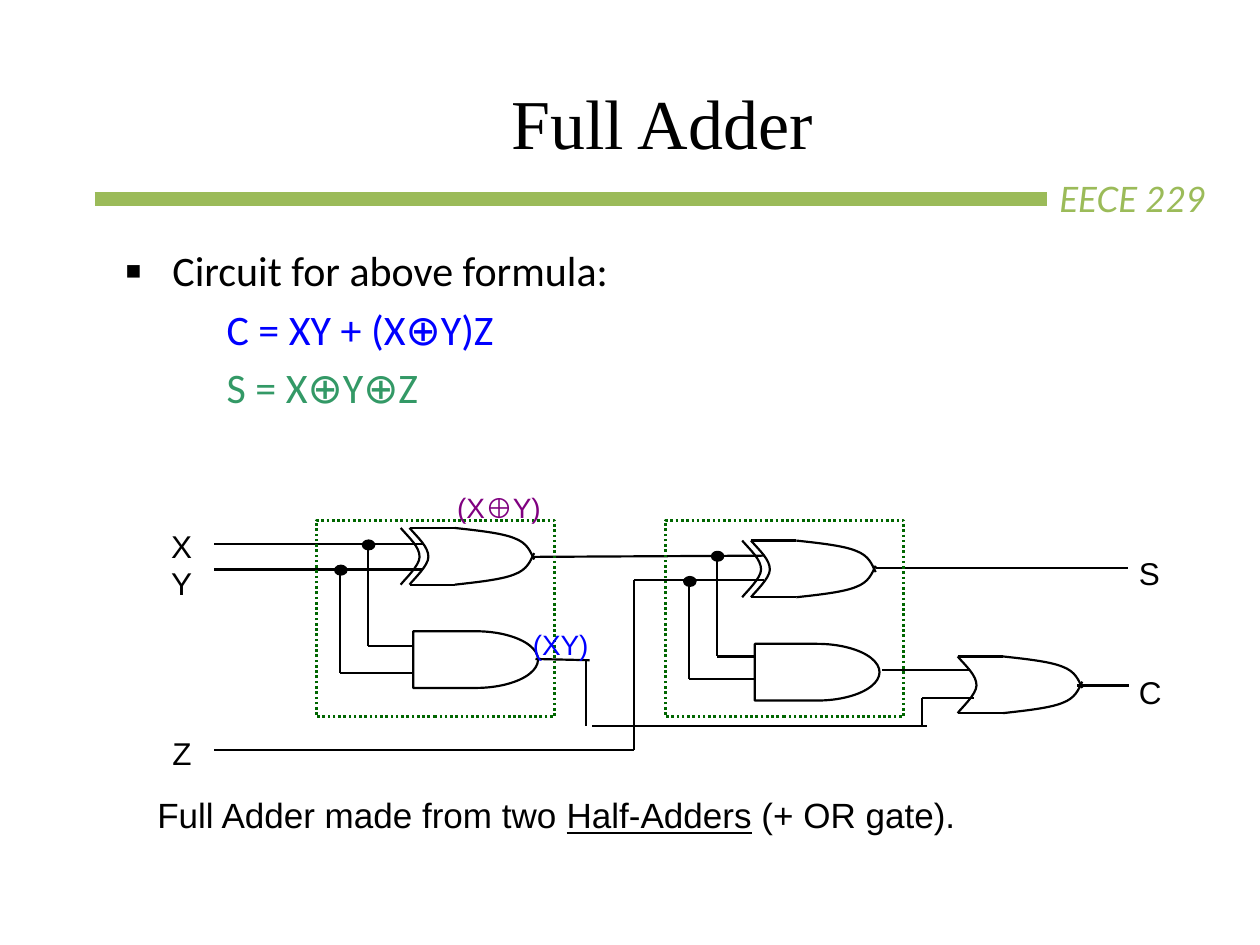
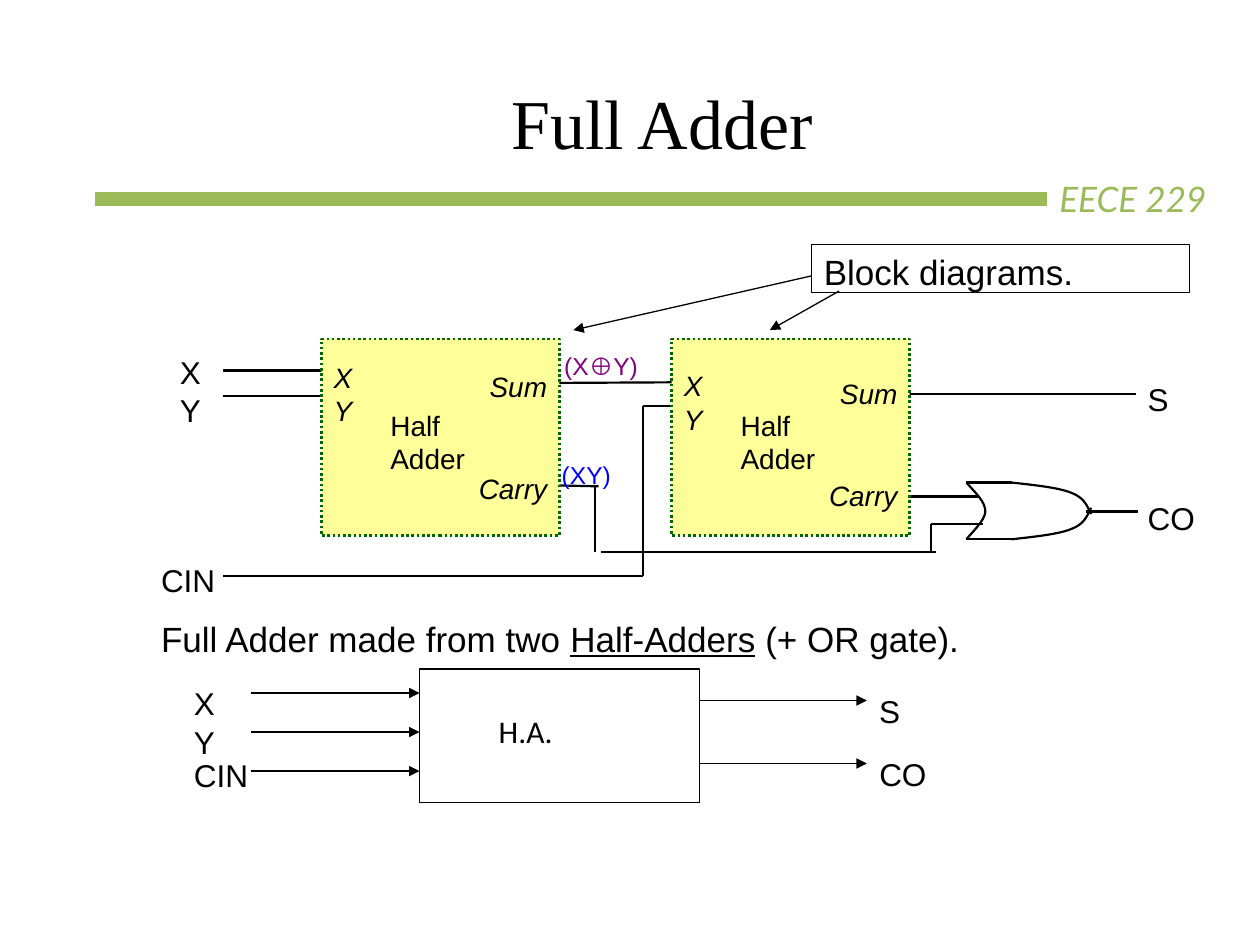
from lxml import etree
from pptx import Presentation
from pptx import util as u
from pptx.dml.color import RGBColor
from pptx.enum import dml, shapes, text
from pptx.oxml.ns import qn

BLACK = RGBColor(0x00, 0x00, 0x00)
OLIVE = RGBColor(0x9B, 0xBB, 0x59)
BLUE = RGBColor(0x00, 0x00, 0xFF)
SEA_GREEN = RGBColor(0x33, 0x99, 0x66)
DARK_GREEN = RGBColor(0x00, 0x66, 0x00)
PURPLE = RGBColor(0x80, 0x00, 0x80)
PALE_YELLOW = RGBColor(0xFF, 0xFF, 0x99)

WIRE = 1.25
THIN = 0.75
HALF_ADDER_W, HALF_ADDER_H = 1.89, 1.56
GATE_W, GATE_H = 0.99, 0.45

# Gate outlines as cubic curves, relative to the gate's top left corner
GATE_BACK = [(0, 0), (0.07, 0.08), (0.15, 0.15), (0.15, 0.23),
             (0.15, 0.3), (0.03, 0.41), (0, GATE_H)]
GATE_NOSE = [(0.36, 0), (0.54, 0.02), (0.73, 0.04), (0.83, 0.08),
             (0.94, 0.12), (0.96, 0.19), (0.99, 0.25)]

# Wires both circuits share, relative to the start of input X
ADDER_WIRES = [
    (0, 0, 1.66, 0), (0, 0.2, 1.66, 0.2),                # X, Y
    (2.53, 0.1, 4.37, 0.09),                             # first sum
    (2.55, 0.91, 2.98, 0.92), (2.95, 0.91, 2.95, 1.44),  # first carry
    (3, 1.44, 5.66, 1.44), (5.62, 1.44, 5.62, 1.22), (5.62, 1.22, 6.03, 1.22),
    (0, 1.63, 3.33, 1.63), (3.33, 1.63, 3.33, 0.28),     # carry in
    (3.33, 0.28, 4.36, 0.28),
    (5.25, 0.19, 7.25, 0.19),                            # final sum
    (5.3, 1, 6, 1), (6.85, 1.12, 7.26, 1.12),            # second and final carry
]


def inches(*lengths):
    return [u.Inches(length) for length in lengths]


# ---- Basic parts ----

def write_text(frame, content, size=18, font="Arial", color=BLACK, italic=False,
               align=text.PP_ALIGN.LEFT, underlined=None, wrap=True):
    """Write one paragraph per line, underlining the given phrase."""
    frame.word_wrap = wrap
    frame.vertical_anchor = text.MSO_ANCHOR.TOP
    for i, line in enumerate(content.split("\n")):
        paragraph = frame.add_paragraph() if i else frame.paragraphs[0]
        paragraph.alignment = align
        for part in line.partition(underlined) if underlined else [line]:
            run = paragraph.add_run()
            run.text = part
            run.font.size = u.Pt(size)
            run.font.name = font
            run.font.italic = italic
            run.font.color.rgb = color
            if part == underlined:
                run.font.underline = True


def add_text(slide, content, x, y, w, h, **style):
    box = slide.shapes.add_textbox(*inches(x, y, w, h))
    write_text(box.text_frame, content, **style)
    return box.text_frame


def style_outline(shape, fill=None, color=BLACK, width=WIRE, dash=None):
    shape.shadow.inherit = False
    if fill is None:
        shape.fill.background()
    else:
        shape.fill.solid()
        shape.fill.fore_color.rgb = fill
    shape.line.color.rgb = color
    shape.line.width = u.Pt(width)
    if dash:
        shape.line.dash_style = dash


def add_preset(slide, preset, x, y, w, h, **outline):
    shape = slide.shapes.add_shape(preset, *inches(x, y, w, h))
    style_outline(shape, **outline)
    return shape


def add_wire(slide, x1, y1, x2, y2, width=WIRE, color=BLACK, arrow=False):
    wire = slide.shapes.add_connector(shapes.MSO_CONNECTOR.STRAIGHT,
                                      *inches(x1, y1, x2, y2))
    wire.line.color.rgb = color
    wire.line.width = u.Pt(width)
    if arrow:
        etree.SubElement(wire.line._get_or_add_ln(), qn("a:tailEnd"), type="triangle")
    etree.SubElement(wire._element.spPr, qn("a:effectLst"))


def add_curve(slide, x, y, points):
    """Draw joined cubic curves whose control points are relative to x, y."""
    start, *controls = [inches(x + dx, y + dy) for dx, dy in points]
    builder = slide.shapes.build_freeform(*start)
    builder.add_line_segments(controls, close=False)
    curve = builder.convert_to_shape()
    # Turn every three straight segments into one cubic curve
    segments = list(curve._element.iter(qn("a:lnTo")))
    outline = segments[0].getparent()
    for i in range(0, len(segments), 3):
        cubic = etree.SubElement(outline, qn("a:cubicBezTo"))
        for segment in segments[i:i + 3]:
            cubic.append(segment[0])
            outline.remove(segment)
    style_outline(curve)


# ---- Shared regions ----

def add_header(slide):
    add_wire(slide, 0.75, 1.58, 8.31, 1.58, width=8, color=OLIVE)
    add_text(slide, "EECE 229", 8.31, 1.36, 1.67, 0.44,
             size=20, font="Lato", color=OLIVE, italic=True)
    add_text(slide, "Full Adder", 3.96, 0.58, 2.62, 0.77,
             size=40, font="Times New Roman", wrap=False)


def add_caption(slide, x, y):
    add_text(slide, "Full Adder made from two Half-Adders (+ OR gate).",
             x, y, 8.89, 0.44, size=20, underlined="Half-Adders")


def add_or_gate(slide, x, y, exclusive=False):
    add_curve(slide, x, y, GATE_BACK)
    if exclusive:
        add_curve(slide, x - 0.07, y, GATE_BACK)
    for edge in (y, y + GATE_H):
        add_wire(slide, x, edge, x + 0.36, edge)
    add_curve(slide, x, y, GATE_NOSE)
    add_curve(slide, x, y, [(px, GATE_H - py) for px, py in GATE_NOSE])


def add_adder_wiring(slide, x, y, carry_in, carry_in_x, carry_out, carry_w):
    """Wires, OR gate and outer labels, from the start of input X."""
    for x1, y1, x2, y2 in ADDER_WIRES:
        add_wire(slide, x + x1, y + y1, x + x2, y + y2)
    add_or_gate(slide, x + 5.9, y + 0.89)
    for label, dx, dy, width, height in [("X\nY", -0.44, -0.19, 0.56, 0.45),
                                         ("S", 7.24, 0.03, 0.56, 0.28),
                                         (carry_out, 7.24, 0.97, carry_w, 0.29),
                                         (carry_in, carry_in_x, 1.46, carry_w, 0.29)]:
        add_text(slide, label, x + dx, y + dy, width, height)


def add_half_adder_frame(slide, x, y, fill=None):
    add_preset(slide, shapes.MSO_SHAPE.RECTANGLE, x, y, HALF_ADDER_W, HALF_ADDER_H,
               fill=fill, color=DARK_GREEN, width=1.5,
               dash=dml.MSO_LINE.ROUND_DOT)


# ---- Gate circuit slide ----

def add_formulas(slide, x, y):
    frame = add_text(slide, "Circuit for above formula:", x, y, 7, 1.12,
                     size=24, font="Calibri")
    heading = frame.paragraphs[0]._p.get_or_add_pPr()
    heading.set("marL", str(u.Inches(0.38)))
    heading.set("indent", str(-u.Inches(0.38)))
    etree.SubElement(heading, qn("a:buSzPct"), val="120000")
    etree.SubElement(heading, qn("a:buFont"), typeface="Arial")
    etree.SubElement(heading, qn("a:buChar"), char="▪")
    for formula, color in [("C = XY + (X⊕Y)Z", BLUE), ("S = X⊕Y⊕Z", SEA_GREEN)]:
        paragraph = frame.add_paragraph()
        paragraph.level = 1
        paragraph.space_before = u.Pt(4.8)
        paragraph._p.get_or_add_pPr().set("marL", str(u.Inches(0.81)))
        run = paragraph.add_run()
        run.text = formula
        run.font.size = u.Pt(24)
        run.font.name = "Calibri"
        run.font.color.rgb = color


def add_half_adder_gates(slide, x, y, gate_dx, gate_dy, inputs, and_inputs):
    """XOR over AND; inputs and and_inputs are heights below the frame's top."""
    gate_x, gate_y = x + gate_dx, y + gate_dy
    and_x = gate_x + 0.03
    add_or_gate(slide, gate_x, gate_y, exclusive=True)
    add_preset(slide, shapes.MSO_SHAPE.FLOWCHART_DELAY, and_x, gate_y + 0.82,
               GATE_W, GATE_H)
    for tap_dx, top, bottom in zip((0.41, 0.19), inputs, and_inputs):
        tap_x = x + tap_dx
        add_wire(slide, tap_x, y + top, tap_x, y + bottom)
        add_wire(slide, tap_x, y + bottom, and_x, y + bottom)
        add_preset(slide, shapes.MSO_SHAPE.OVAL, tap_x - 0.04, y + top - 0.03,
                   0.09, 0.07, fill=BLACK)
    add_half_adder_frame(slide, x, y)


def build_gate_slide(slide):
    add_header(slide)
    add_formulas(slide, 0.89, 1.89)
    add_adder_wiring(slide, 1.7, 4.32, carry_in="Z", carry_in_x=-0.43,
                     carry_out="C", carry_w=0.56)
    add_half_adder_gates(slide, 2.51, 4.13, 0.74, 0.06, (0.19, 0.39), (1, 1.21))
    add_half_adder_gates(slide, 5.28, 4.13, 0.68, 0.16, (0.28, 0.48), (1.08, 1.26))
    add_text(slide, "(XY)", 4.13, 4.93, 0.91, 0.29, size=16, color=BLUE)
    add_text(slide, "(X⊕Y)", 3.53, 3.84, 1.2, 0.29, size=16, color=PURPLE)
    add_caption(slide, 1.15, 6.25)


# ---- Block diagram slide ----

def add_half_adder_block(slide, x, y, input_dy, output_dy):
    add_half_adder_frame(slide, x, y, fill=PALE_YELLOW)
    add_text(slide, "Half\nAdder", x + 0.45, y + 0.5, 1.11, 0.5, size=16)
    add_text(slide, "X\nY", x, y + input_dy, 0.67, 0.5, size=16, italic=True)
    for label, width, height, dy in [("Sum", 0.89, 0.25, 0), ("Carry", 1, 0.31, 0.81)]:
        add_text(slide, label, x + HALF_ADDER_W - width, y + output_dy + dy,
                 width, height, size=16, italic=True, align=text.PP_ALIGN.RIGHT)


def add_callout(slide, x, y):
    note = add_preset(slide, shapes.MSO_SHAPE.RECTANGLE, x, y, 3, 0.38, width=THIN)
    write_text(note.text_frame, "Block diagrams.", size=20)
    add_wire(slide, x, y + 0.25, x - 1.89, y + 0.68, width=THIN, arrow=True)
    add_wire(slide, x + 0.22, y + 0.37, x - 0.33, y + 0.68, width=THIN, arrow=True)


def add_summary_block(slide, x, y):
    """Single block with its inputs on the left and outputs on the right."""
    width, right = 2.22, x + 2.22
    add_preset(slide, shapes.MSO_SHAPE.RECTANGLE, x, y, width, 1.06, width=THIN)
    add_text(slide, "H.A.", x + 0.53, y + 0.29, 0.63, 0.4, font="Calibri", wrap=False)
    for i, (label, label_dy, label_w) in enumerate([("X", 0.07, 0.56),
                                                    ("Y", 0.38, 0.56),
                                                    ("CIN", 0.64, 0.63)]):
        wire_y = y + 0.19 + 0.31 * i
        add_wire(slide, x - 1.34, wire_y, x, wire_y, width=THIN, arrow=True)
        add_text(slide, label, x - 1.89, y + label_dy, label_w, 0.28)
    for i, (label, label_w) in enumerate([("S", 0.56), ("CO", 0.71)]):
        wire_y = y + 0.25 + 0.5 * i
        add_wire(slide, right, wire_y, right + 1.33, wire_y, width=THIN, arrow=True)
        add_text(slide, label, right + 1.33, wire_y - 0.12, label_w, 0.28)


def build_block_slide(slide):
    add_header(slide)
    add_caption(slide, 1.18, 4.85)
    add_text(slide, "(X⊕Y)", 4.38, 2.74, 1.2, 0.29, size=14, color=PURPLE)
    add_adder_wiring(slide, 1.77, 2.94, carry_in="CIN", carry_in_x=-0.59,
                     carry_out="CO", carry_w=0.74)
    add_text(slide, "(XY)", 4.36, 3.6, 0.91, 0.29, size=14, color=BLUE)
    add_half_adder_block(slide, 5.33, 2.69, input_dy=0.19, output_dy=0.25)
    add_half_adder_block(slide, 2.55, 2.69, input_dy=0.12, output_dy=0.19)
    add_callout(slide, 6.44, 1.94)
    add_summary_block(slide, 3.33, 5.31)


def main():
    deck = Presentation()
    deck.slide_width, deck.slide_height = inches(10, 7.5)
    for build in (build_gate_slide, build_block_slide):
        build(deck.slides.add_slide(deck.slide_layouts[6]))
    deck.save("out.pptx")


if __name__ == "__main__":
    main()
